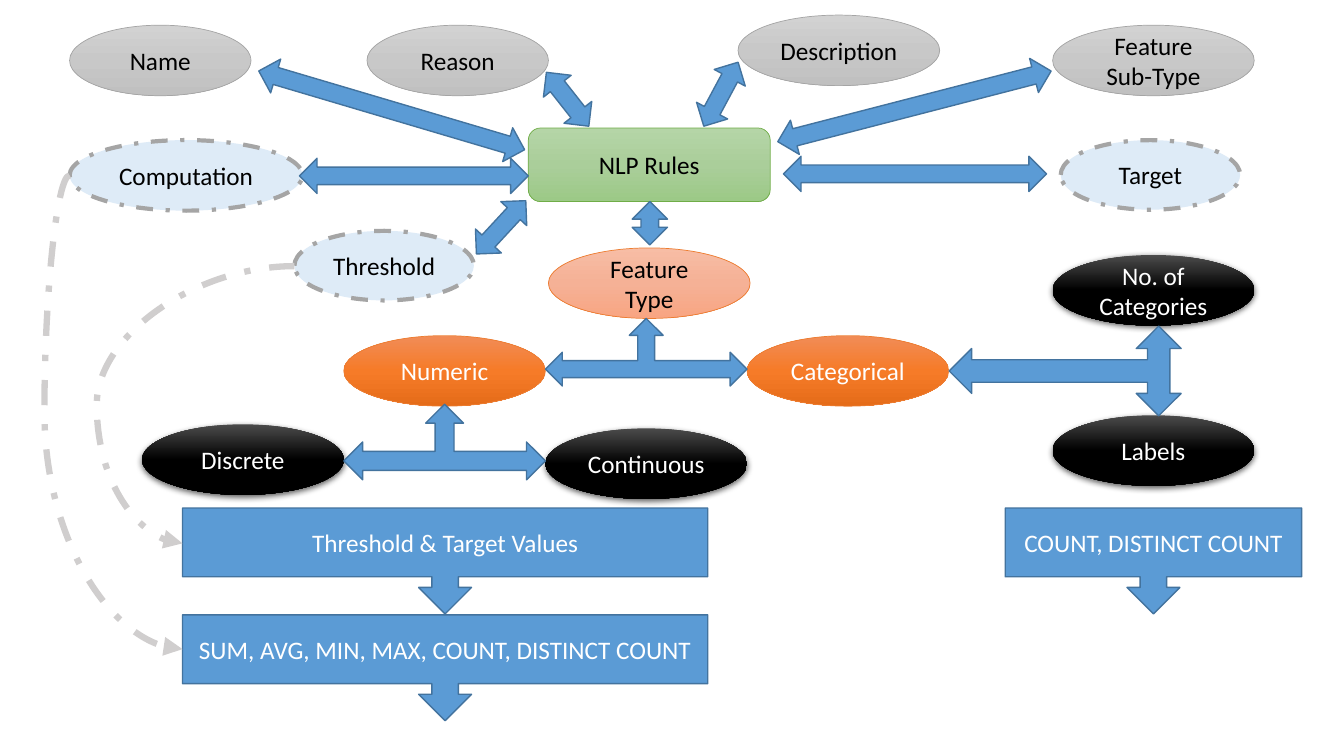
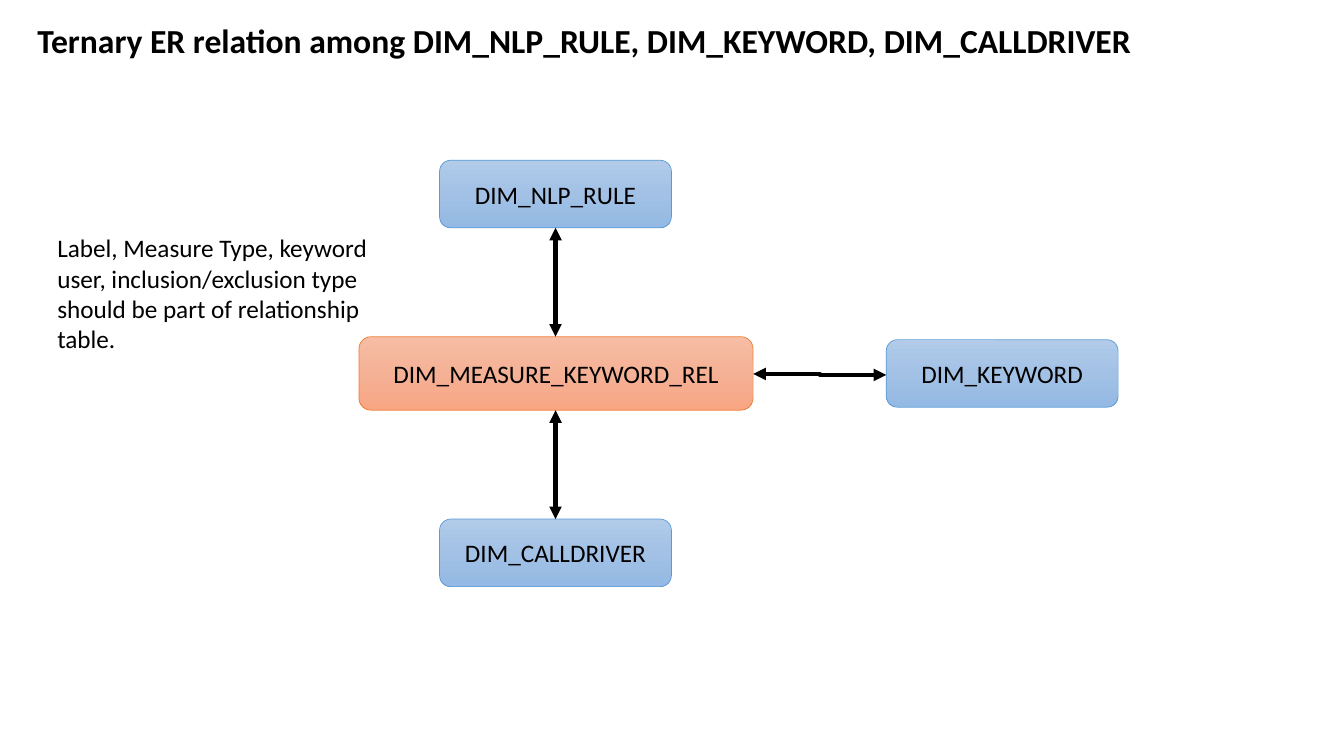
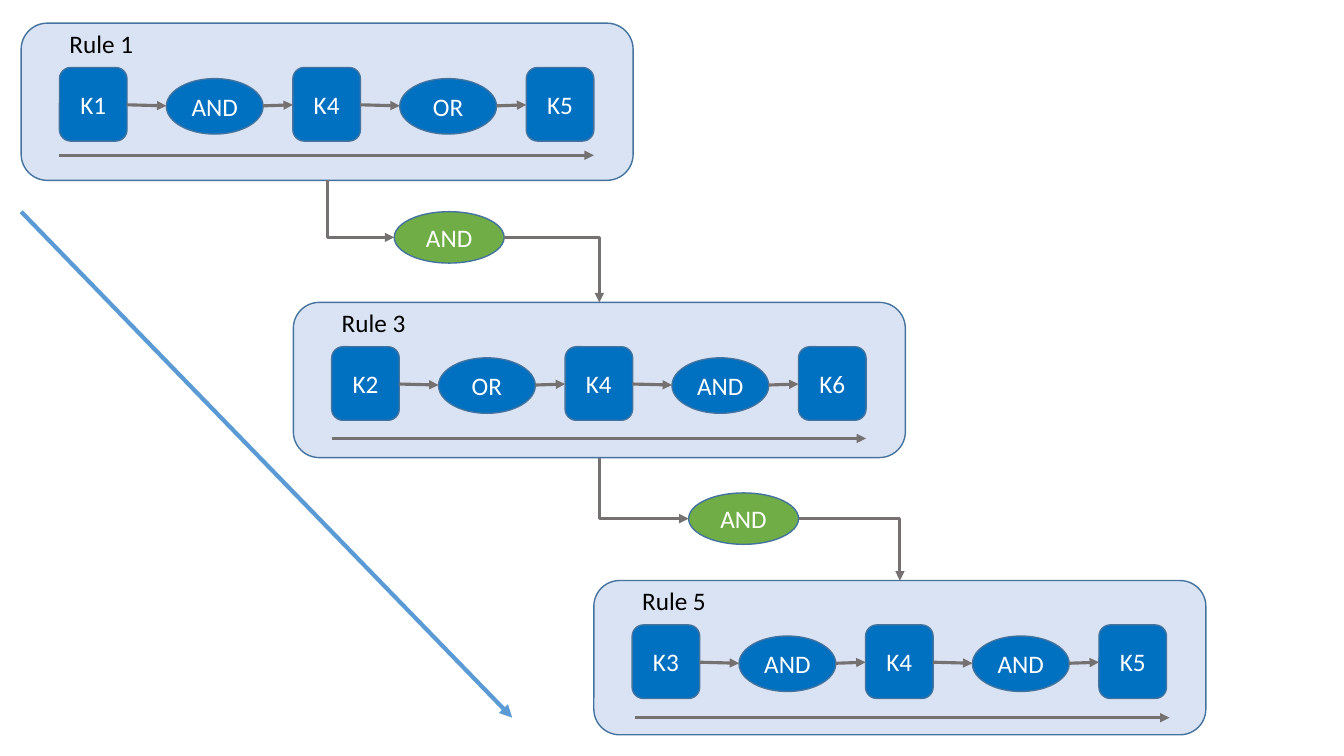
from dataclasses import dataclass

import lxml.etree
import copy
import pptx
import pptx.dml.color
import pptx.enum.dml
import pptx.enum.shapes
import pptx.enum.text
import pptx.oxml.ns
import pptx.shapes.autoshape
import pptx.shapes.connector
import pptx.slide
import pptx.text.text
import pptx.util

Inches = pptx.util.Inches
Pt = pptx.util.Pt
qn = pptx.oxml.ns.qn
SHAPE = pptx.enum.shapes.MSO_SHAPE
CONNECTOR = pptx.enum.shapes.MSO_CONNECTOR
ALIGN = pptx.enum.text.PP_ALIGN
ANCHOR = pptx.enum.text.MSO_ANCHOR
DASH_DOT = pptx.enum.dml.MSO_LINE.DASH_DOT

FONT = "Calibri"
COLORS = {
    "black": "000000", "white": "FFFFFF", "charcoal": "4B4B4B",
    "gray": "767171", "mid_gray": "A5A5A5", "pale_gray": "D0CECE",
    "silver_top": "D2D2D2", "silver_mid": "C8C8C8", "silver_end": "C0C0C0",
    "green": "70AD47", "green_top": "B5D5A7", "green_mid": "AACE9A", "green_end": "9CC987",
    "orange": "ED7D31", "orange_top": "F18C57", "orange_mid": "F67B28", "orange_end": "E56C19",
    "peach_top": "F7BDA5", "peach_mid": "F5B196", "peach_end": "F8A582",
    "blue": "5B9BD5", "blue_edge": "43739E", "deep_blue": "0070C0",
    "ice": "DEEBF7", "panel": "DAE3F3",
    "sky_top": "B1CBE9", "sky_mid": "A3C1E5", "sky_end": "93B9E4",
}


@dataclass(frozen=True)
class Style:
    fill: tuple[str, ...]
    line: str | None = "blue_edge"
    line_pt: float = 1
    text: str = "white"
    dashed: bool = False
    shadow: bool = False


@dataclass(frozen=True)
class Box:
    left: float
    top: float
    width: float
    height: float
    style: Style
    text: str = ""
    kind: SHAPE = SHAPE.OVAL
    rotation: float = 0


@dataclass(frozen=True)
class Stroke:
    color: str
    width: float
    head: bool = False
    tail: bool = True
    dashed: bool = False


@dataclass(frozen=True)
class Rule:
    name: str
    left: float
    top: float
    height: float
    steps: tuple[str, ...]
    flow_indent: float
    flow_top: float


def shaded(name: str, line: str, text: str = "black") -> Style:
    return Style((f"{name}_top", f"{name}_mid", f"{name}_end"), line, 0.5, text)


SILVER = shaded("silver", "mid_gray")
GREEN = shaded("green", "green")
PEACH = shaded("peach", "orange")
ORANGE = shaded("orange", "orange", "white")
SKY = shaded("sky", "blue")
BLACK = Style(("charcoal", "black", "black"), None, shadow=True)
DASHED = Style(("ice",), "mid_gray", 3, "black", dashed=True)
BLUE = Style(("blue",))
STEP = Style(("deep_blue",))
JOINT = Style(("green",))
PANEL = Style(("panel",))

RELATION = Stroke("black", 3, head=True)
FLOW = Stroke("gray", 2.25)
FLOW_REVERSED = Stroke("gray", 2.25, head=True, tail=False)
LOOP = Stroke("pale_gray", 4.5, dashed=True)
SEQUENCE = Stroke("blue", 3)

NLP_BOXES = (
    Box(5.24, 1.27, 2.4, 0.73, GREEN, "NLP Rules", SHAPE.ROUNDED_RECTANGLE),
    Box(0.69, 0.25, 1.8, 0.7, SILVER, "Name"),
    Box(3.64, 0.25, 1.8, 0.7, SILVER, "Reason"),
    Box(7.32, 0.15, 2, 0.7, SILVER, "Description"),
    Box(10.44, 0.25, 2, 0.7, SILVER, "Feature Sub-Type"),
    Box(5.44, 2.46, 2, 0.7, PEACH, "Feature Type"),
    Box(3.41, 3.33, 2, 0.7, ORANGE, "Numeric"),
    Box(7.41, 3.33, 2, 0.7, ORANGE, "Categorical"),
    Box(10.44, 2.53, 2, 0.7, BLACK, "No. of Categories"),
    Box(10.44, 4.12, 2, 0.7, BLACK, "Labels"),
    Box(1.41, 4.21, 2, 0.7, BLACK, "Discrete"),
    Box(5.41, 4.25, 2, 0.7, BLACK, "Continuous"),
    Box(0.69, 1.39, 2.31, 0.7, DASHED, "Computation"),
    Box(2.92, 2.29, 1.78, 0.69, DASHED, "Threshold"),
    Box(10.52, 1.39, 1.78, 0.69, DASHED, "Target"),
)
CALLOUTS = (
    (1.81, 5.04, 5.21, "Threshold & Target Values"),
    (1.81, 6.1, 5.21, "SUM, AVG, MIN, MAX, COUNT, DISTINCT COUNT"),
    (9.97, 5.04, 2.94, "COUNT, DISTINCT COUNT"),
)
# left, top, width, rotation
DOUBLE_ARROWS = (
    (7.67, 0.88, 2.8, 345.5), (2.51, 0.92, 2.75, 16.5), (5.29, 0.81, 0.68, 51.8),
    (6.79, 0.76, 0.72, 118.2), (6.23, 2.04, 0.43, 90), (2.97, 1.57, 2.27, 0),
    (4.61, 2.08, 0.72, 132.8), (7.77, 1.55, 2.61, 0),
)
# left, top, width, height, rotation
BRANCH_ARROWS = (
    (5.41, 3.16, 2, 0.67, 0), (10.12, 2.53, 0.89, 2.3, 270), (3.41, 4.01, 2, 0.75, 0),
)
# start, end, x of the bend
LOOPS = (((0.69, 1.74), (1.81, 6.44), 0.44), ((2.92, 2.64), (1.81, 5.39), 0.96))

RULES = (
    Rule("Rule 1", 0.21, 0.23, 1.56, ("K1", "AND", "K4", "OR", "K5"), 0.38, 1.31),
    Rule("Rule 3", 2.91, 3, 1.54, ("K2", "OR", "K4", "AND", "K6"), 0.38, 1.35),
    Rule("Rule 5", 5.89, 5.76, 1.53, ("K3", "AND", "K4", "AND", "K5"), 0.41, 1.36),
)
RULE_WIDTH = 6.07
STEP_PITCH = 2.315
JOINTS = ((3.91, 2.1), (6.83, 4.89))


def rgb(name: str) -> pptx.dml.color.RGBColor:
    return pptx.dml.color.RGBColor.from_string(COLORS[name])


def write(frame: pptx.text.text.TextFrame, text: str, color: str, align: ALIGN,
          size: float = 18, bold: bool = False) -> None:
    frame.text = text
    paragraph = frame.paragraphs[0]
    paragraph.alignment = align
    font = paragraph.runs[0].font
    font.name, font.size, font.bold = FONT, Pt(size), bold
    font.color.rgb = rgb(color)


def fill_gradient(shape: pptx.shapes.autoshape.Shape, colors: tuple[str, ...]) -> None:
    """Fill from top to bottom with three evenly spaced colours."""
    shape.fill.gradient()
    shape.fill.gradient_angle = 270
    stop_list = shape._element.spPr.find(qn("a:gradFill")).find(qn("a:gsLst"))
    stop_list.insert(1, copy.deepcopy(stop_list[0]))
    for stop, color, position in zip(shape.fill.gradient_stops, colors, (0, 0.5, 1)):
        stop.color.rgb = rgb(color)
        stop.position = position


def add_drop_shadow(shape: pptx.shapes.autoshape.Shape) -> None:
    effects = shape._element.spPr.find(qn("a:effectLst"))
    shadow = lxml.etree.SubElement(
        effects, qn("a:outerShdw"), blurRad=str(Pt(4.5)), dist=str(Pt(1.5)),
        dir="5400000", algn="ctr", rotWithShape="0")
    color = lxml.etree.SubElement(shadow, qn("a:srgbClr"), val=COLORS["black"])
    lxml.etree.SubElement(color, qn("a:alpha"), val="63000")


def add_box(slide: pptx.slide.Slide, box: Box) -> None:
    shape = slide.shapes.add_shape(
        box.kind, Inches(box.left), Inches(box.top), Inches(box.width), Inches(box.height))
    style = box.style
    shape.rotation = box.rotation
    shape.shadow.inherit = False
    if len(style.fill) == 1:
        shape.fill.solid()
        shape.fill.fore_color.rgb = rgb(style.fill[0])
    else:
        fill_gradient(shape, style.fill)
    if style.line:
        shape.line.color.rgb = rgb(style.line)
        shape.line.width = Pt(style.line_pt)
    else:
        shape.line.fill.background()
    if style.dashed:
        shape.line.dash_style = DASH_DOT
    if style.shadow:
        add_drop_shadow(shape)
    if box.text:
        write(shape.text_frame, box.text, style.text, ALIGN.CENTER)


def add_line(slide: pptx.slide.Slide, start: tuple[float, float], end: tuple[float, float],
             stroke: Stroke, kind: CONNECTOR = CONNECTOR.STRAIGHT
             ) -> pptx.shapes.connector.Connector:
    line = slide.shapes.add_connector(kind, *map(Inches, (*start, *end)))
    line.line.color.rgb = rgb(stroke.color)
    line.line.width = Pt(stroke.width)
    if stroke.dashed:
        line.line.dash_style = DASH_DOT
    properties = line._element.spPr
    outline = properties.find(qn("a:ln"))
    for tag, shown in (("a:headEnd", stroke.head), ("a:tailEnd", stroke.tail)):
        if shown:
            lxml.etree.SubElement(outline, qn(tag), type="triangle")
    lxml.etree.SubElement(properties, qn("a:effectLst"))
    return line


def add_loop(slide: pptx.slide.Slide, start: tuple[float, float], end: tuple[float, float],
             bend: float) -> None:
    """Draw a curve that swings out to x = bend between its ends."""
    curve = add_line(slide, start, end, LOOP, CONNECTOR.CURVE)
    guides = curve._element.spPr.find(qn("a:prstGeom")).get_or_add_avLst()
    share = (bend - start[0]) / (end[0] - start[0])
    lxml.etree.SubElement(guides, qn("a:gd"), name="adj1", fmla=f"val {round(share * 100000)}")


def add_corner(slide: pptx.slide.Slide, start: tuple[float, float], end: tuple[float, float],
               stroke: Stroke) -> None:
    """Draw a line that runs sideways first, then turns once."""
    corner = add_line(slide, start, end, stroke, CONNECTOR.ELBOW)
    corner._element.spPr.find(qn("a:prstGeom")).set("prst", "bentConnector2")


def add_note(slide: pptx.slide.Slide, left: float, top: float, width: float, height: float,
             text: str) -> None:
    note = slide.shapes.add_textbox(Inches(left), Inches(top), Inches(width), Inches(height))
    note.text_frame.word_wrap = True
    write(note.text_frame, text, "black", ALIGN.LEFT)


def set_title(slide: pptx.slide.Slide, text: str) -> None:
    title = slide.shapes.title
    title.left, title.top = Inches(0.27), Inches(0.15)
    title.width, title.height = Inches(11.11), Inches(0.5)
    frame = title.text_frame
    frame.word_wrap = False
    frame.auto_size = pptx.enum.text.MSO_AUTO_SIZE.NONE
    frame.vertical_anchor = ANCHOR.TOP
    write(frame, text, "black", ALIGN.LEFT, 24, True)


def build_nlp_rules(slide: pptx.slide.Slide) -> None:
    for box in NLP_BOXES:
        add_box(slide, box)
    for left, top, width, height, rotation in BRANCH_ARROWS:
        add_box(slide, Box(left, top, width, height, BLUE,
                           kind=SHAPE.LEFT_RIGHT_UP_ARROW, rotation=rotation))
    for left, top, width, rotation in DOUBLE_ARROWS:
        add_box(slide, Box(left, top, width, 0.35, BLUE,
                           kind=SHAPE.LEFT_RIGHT_ARROW, rotation=rotation))
    for left, top, width, text in CALLOUTS:
        add_box(slide, Box(left, top, width, 1.05, BLUE, text, SHAPE.DOWN_ARROW_CALLOUT))
    for start, end, bend in LOOPS:
        add_loop(slide, start, end, bend)


def build_ternary_relation(slide: pptx.slide.Slide) -> None:
    set_title(slide, "Ternary ER relation among DIM_NLP_RULE, DIM_KEYWORD, DIM_CALLDRIVER")
    for left, top, name in ((4.36, 1.59, "DIM_NLP_RULE"), (4.36, 5.15, "DIM_CALLDRIVER"),
                            (8.79, 3.37, "DIM_KEYWORD")):
        add_box(slide, Box(left, top, 2.3, 0.67, SKY, name, SHAPE.ROUNDED_RECTANGLE))
    add_box(slide, Box(3.56, 3.34, 3.91, 0.73, PEACH, "DIM_MEASURE_KEYWORD_REL",
                       SHAPE.ROUNDED_RECTANGLE))
    for top, bottom in ((2.26, 3.34), (4.07, 5.15)):
        add_line(slide, (5.51, top), (5.51, bottom), RELATION)
    add_line(slide, (7.47, 3.71), (8.79, 3.72), RELATION, CONNECTOR.ELBOW)
    add_note(slide, 0.47, 2.26, 3.31, 1.31,
             "Label, Measure Type, keyword user, inclusion/exclusion type "
             "should be part of relationship table.")


def add_rule(slide: pptx.slide.Slide, rule: Rule) -> None:
    """Draw a panel whose keywords and operators alternate along a row."""
    add_box(slide, Box(rule.left, rule.top, RULE_WIDTH, rule.height, PANEL,
                       kind=SHAPE.ROUNDED_RECTANGLE))
    add_note(slide, rule.left + 0.38, rule.top, 0.91, 0.4, rule.name)
    previous_end = None
    for index, word in enumerate(rule.steps):
        pair, is_operator = divmod(index, 2)
        shift = rule.left + pair * STEP_PITCH
        if is_operator:
            step = Box(shift + 1.44, rule.top + 0.55, 0.96, 0.55, STEP, word)
        else:
            step = Box(shift + 0.38, rule.top + 0.44, 0.67, 0.73, STEP, word,
                       SHAPE.ROUNDED_RECTANGLE)
        add_box(slide, step)
        middle = rule.top + (0.82 if is_operator else 0.81)
        if previous_end:
            add_line(slide, previous_end, (step.left, middle), FLOW)
        previous_end = (step.left + step.width, middle)
    flow_left, flow_y = rule.left + rule.flow_indent, rule.top + rule.flow_top
    add_line(slide, (flow_left, flow_y), (flow_left + 5.3, flow_y), FLOW)


def build_rule_chain(slide: pptx.slide.Slide) -> None:
    for rule in RULES:
        add_rule(slide, rule)
    for (left, top), source, target in zip(JOINTS, RULES, RULES[1:]):
        joint = Box(left, top, 1.09, 0.51, JOINT, "AND")
        add_box(slide, joint)
        middle = top + joint.height / 2
        source_exit = (source.left + RULE_WIDTH / 2, source.top + source.height)
        target_entry = (target.left + RULE_WIDTH / 2, target.top)
        add_corner(slide, (left, middle), source_exit, FLOW_REVERSED)
        add_corner(slide, (left + joint.width, middle), target_entry, FLOW)
    add_line(slide, (0.21, 2.1), (5.08, 7.12), SEQUENCE)


def main() -> None:
    deck = pptx.Presentation()
    deck.slide_width, deck.slide_height = Inches(13.33), Inches(7.5)
    title_only, blank = deck.slide_layouts[5], deck.slide_layouts[6]
    for layout, build in ((blank, build_nlp_rules), (title_only, build_ternary_relation),
                          (blank, build_rule_chain)):
        build(deck.slides.add_slide(layout))
    deck.save("out.pptx")


if __name__ == "__main__":
    main()
